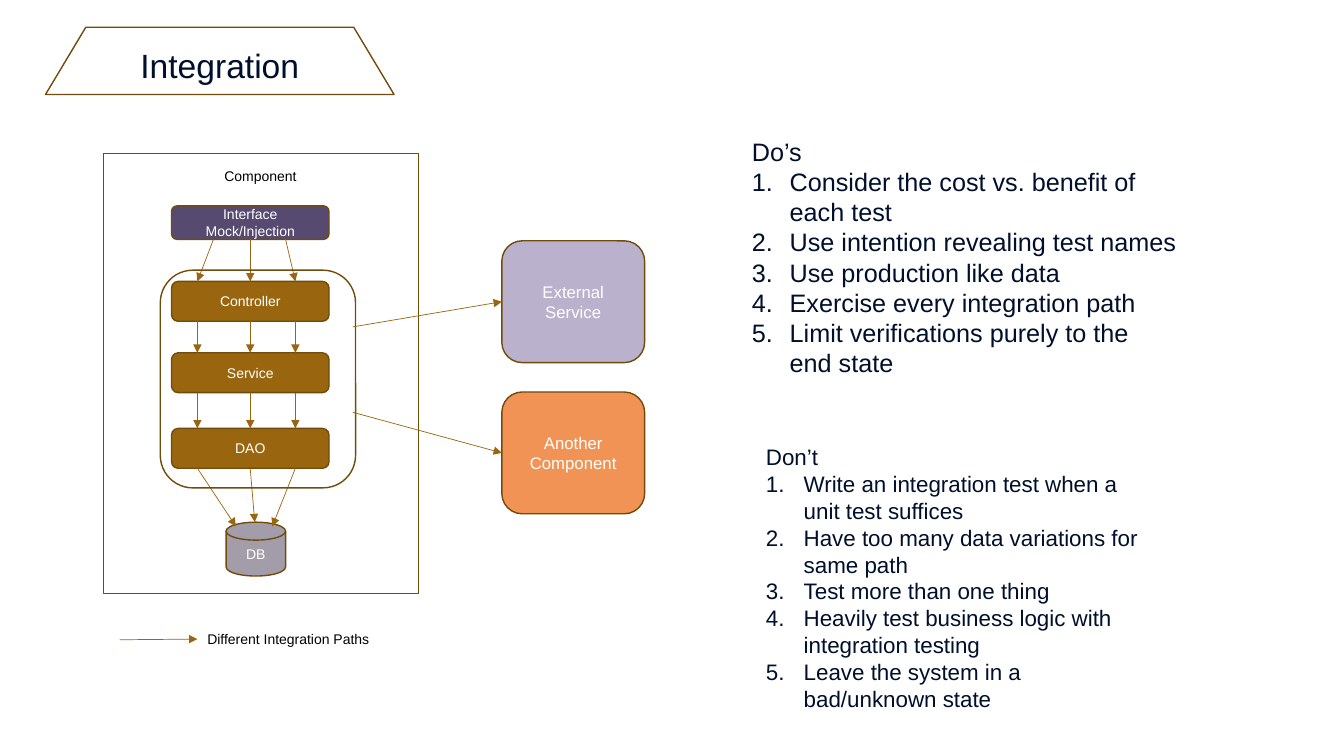
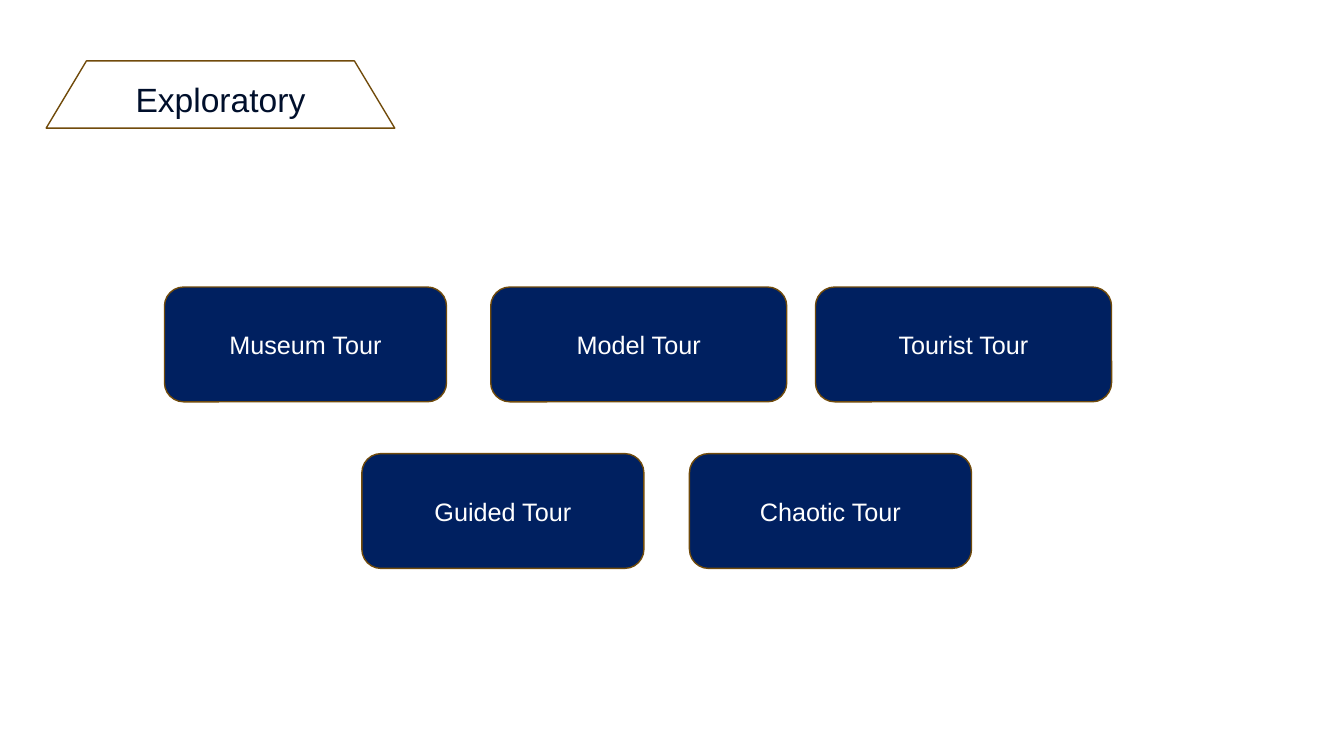
from dataclasses import dataclass

from lxml.etree import SubElement
from pptx import Presentation
from pptx.dml.color import RGBColor
from pptx.enum.shapes import MSO_CONNECTOR, MSO_SHAPE as Preset
from pptx.enum.text import MSO_ANCHOR as Anchor, MSO_AUTO_SIZE as AutoSize, PP_ALIGN as Align
from pptx.oxml.ns import qn
from pptx.util import Pt


@dataclass(frozen=True)
class Theme:
    font: str = "Arial"
    ink: str = "000F2B"
    black: str = "000000"
    white: str = "FFFFFF"
    outline: str = "714B0B"
    brown: str = "99660F"
    purple: str = "574A71"
    gray: str = "A29DA9"
    lilac: str = "BAB1CC"
    orange: str = "F29356"
    navy: str = "002060"
    title_size: float = 24
    large_size: float = 18
    medium_size: float = 16
    service_size: float = 12
    label_size: float = 10
    outline_width: float = 1
    arrow_width: float = 0.5
    number_indent: float = 27


THEME = Theme()
TITLE_LAYOUT = 5
TOP, LEFT, BOTTOM = 0, 1, 2


def color(value):
    return RGBColor.from_string(value)


def add_run(paragraph, text, size, ink):
    run = paragraph.add_run()
    run.text = text
    run.font.name = THEME.font
    run.font.size = Pt(size)
    run.font.color.rgb = color(ink)


def add_shape(slide, preset, bounds, fill=None, text=None, size=THEME.label_size):
    shape = slide.shapes.add_shape(preset, *map(Pt, bounds))
    shape.shadow.inherit = False
    if fill:
        shape.fill.solid()
        shape.fill.fore_color.rgb = color(fill)
    else:
        shape.fill.background()
    shape.line.color.rgb = color(THEME.outline)
    shape.line.width = Pt(THEME.outline_width)
    if text:
        frame = shape.text_frame
        frame.word_wrap = True
        frame.vertical_anchor = Anchor.MIDDLE
        paragraph = frame.paragraphs[0]
        paragraph.alignment = Align.CENTER
        add_run(paragraph, text, size, THEME.white)
    return shape


def add_arrow(slide, start, end, source=None, target=None, target_side=TOP):
    arrow = slide.shapes.add_connector(MSO_CONNECTOR.STRAIGHT, *map(Pt, (*start, *end)))
    if source:
        arrow.begin_connect(source, BOTTOM)
    if target:
        arrow.end_connect(target, target_side)
    arrow.line.color.rgb = color(THEME.brown)
    arrow.line.width = Pt(THEME.arrow_width)
    properties = arrow.element.spPr
    SubElement(properties.find(qn("a:ln")), qn("a:tailEnd"), type="triangle")
    SubElement(properties, qn("a:effectLst"))


def add_text_box(slide, bounds):
    frame = slide.shapes.add_textbox(*map(Pt, bounds)).text_frame
    frame.word_wrap = True
    frame.auto_size = AutoSize.SHAPE_TO_FIT_TEXT
    return frame


def add_label(slide, bounds, text, alignment=Align.LEFT):
    paragraph = add_text_box(slide, bounds).paragraphs[0]
    paragraph.alignment = alignment
    add_run(paragraph, text, THEME.label_size, THEME.black)


def add_numbered_list(slide, bounds, heading, items, size):
    frame = add_text_box(slide, bounds)
    add_run(frame.paragraphs[0], heading, size, THEME.ink)
    for item in items:
        paragraph = frame.add_paragraph()
        properties = paragraph._p.get_or_add_pPr()
        properties.set("marL", str(Pt(THEME.number_indent)))
        properties.set("indent", str(Pt(-THEME.number_indent)))
        SubElement(properties, qn("a:buAutoNum"), type="arabicPeriod")
        add_run(paragraph, item, size, THEME.ink)


def add_titled_slide(presentation, text, left, top):
    slide = presentation.slides.add_slide(presentation.slide_layouts[TITLE_LAYOUT])
    width, height, text_drop = 249, 48, 3
    banner = add_shape(slide, Preset.TRAPEZOID, (left, top, width, height), THEME.white)
    banner.adjustments[0] = 0.6
    title = slide.shapes.title
    title.left, title.top = Pt(left), Pt(top + text_drop)
    title.width, title.height = Pt(width), Pt(height)
    slide.shapes._spTree.append(title.element)
    frame = title.text_frame
    frame.word_wrap = True
    frame.auto_size = AutoSize.NONE
    frame.vertical_anchor = Anchor.MIDDLE
    paragraph = frame.paragraphs[0]
    paragraph.alignment = Align.CENTER
    add_run(paragraph, text, THEME.title_size, THEME.ink)
    return slide


def add_component_diagram(slide):
    add_shape(slide, Preset.RECTANGLE, (74, 109.5, 225, 314.5))
    add_label(slide, (113, 116, 146, 19.5), "Component", Align.CENTER)

    layer_left, layer_width = 122.5, 112.5
    center = layer_left + layer_width / 2
    lanes = (141, center, 211)
    layers = [
        (add_shape(slide, Preset.ROUNDED_RECTANGLE, (layer_left, top, layer_width, height), fill, text),
         top, top + height)
        for text, top, height, fill in (
            ("Interface Mock/Injection", 147, 24, THEME.purple),
            ("Controller", 201, 28.5, THEME.brown),
            ("Service", 252, 28.5, THEME.brown),
            ("DAO", 306, 28.5, THEME.brown),
        )
    ]
    add_shape(slide, Preset.FLOWCHART_MAGNETIC_DISK, (161.5, 373, 42.5, 38.5), THEME.gray, "DB")

    lane_starts = [(152.5, center, 204), lanes, lanes]
    for starts, upper, lower in zip(lane_starts, layers, layers[1:]):
        for start, end in zip(starts, lanes):
            joined = (upper[0], lower[0]) if end == center else (None, None)
            add_arrow(slide, (start, upper[2]), (end, lower[1]), *joined)

    dao, _, dao_bottom = layers[-1]
    for lane, end in zip(lanes, ((168.5, 376), (182, 373), (194.5, 376))):
        add_arrow(slide, (lane, dao_bottom), end, dao if lane == center else None)

    add_shape(slide, Preset.ROUNDED_RECTANGLE, (114.5, 193, 139.5, 155.5))


def add_outside_services(slide):
    left, width, height = 358.5, 102, 87
    for text, top, fill, arrow_top in (
        ("External Service", 172, THEME.lilac, 233.5),
        ("Another Component", 280, THEME.orange, 294.5),
    ):
        service = add_shape(slide, Preset.ROUNDED_RECTANGLE, (left, top, width, height),
                            fill, text, THEME.service_size)
        add_arrow(slide, (252, arrow_top), (left, top + height / 2), target=service, target_side=LEFT)


def build_integration(presentation):
    slide = add_titled_slide(presentation, "Integration", 32.5, 19.5)
    add_component_diagram(slide)
    add_outside_services(slide)
    add_arrow(slide, (85.5, 457), (141, 456.5))
    add_label(slide, (141, 446.5, 146, 19.5), "Different Integration Paths")
    add_numbered_list(slide, (530, 93.5, 318, 181.5), "Do’s", (
        "Consider the cost vs. benefit of each test",
        "Use intention revealing test names",
        "Use production like data",
        "Exercise every integration path",
        "Limit verifications purely to the end state",
    ), THEME.large_size)
    add_numbered_list(slide, (540, 313, 283.5, 201), "Don’t", (
        "Write an integration test when a unit test suffices",
        "Have too many data variations for same path",
        "Test more than one thing",
        "Heavily test business logic with integration testing",
        "Leave the system in a bad/unknown state",
    ), THEME.medium_size)


def build_exploratory(presentation):
    slide = add_titled_slide(presentation, "Exploratory", 33, 43.5)
    for text, left, top, width in (
        ("Museum Tour", 117.5, 205, 201.5),
        ("Model Tour", 350.5, 205, 211.5),
        ("Tourist Tour", 582.5, 205, 211.5),
        ("Guided Tour", 258.5, 324, 201.5),
        ("Chaotic Tour", 492.5, 324, 201.5),
    ):
        add_shape(slide, Preset.ROUNDED_RECTANGLE, (left, top, width, 82),
                  THEME.navy, text, THEME.large_size)


def main():
    presentation = Presentation()
    presentation.slide_width, presentation.slide_height = Pt(960), Pt(540)
    build_integration(presentation)
    build_exploratory(presentation)
    presentation.save("out.pptx")


if __name__ == "__main__":
    main()
